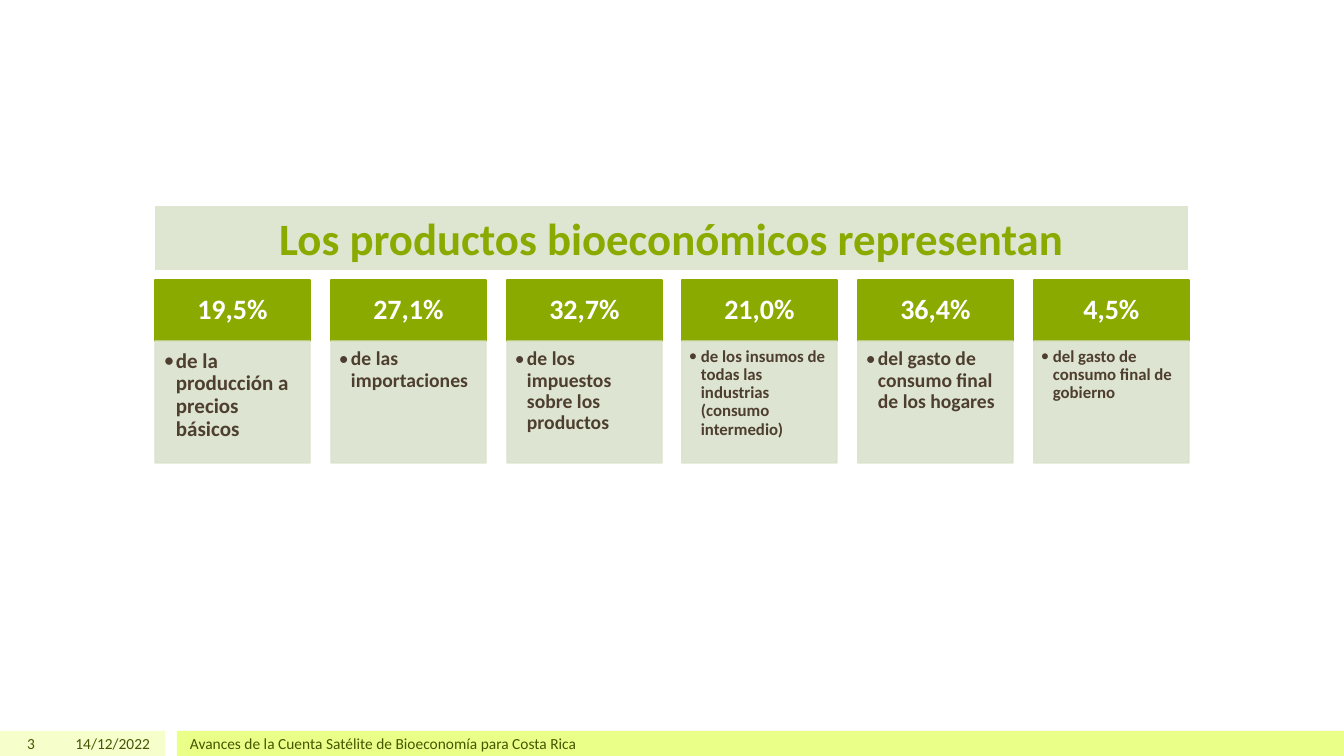
from pptx import Presentation
from pptx.dml.color import RGBColor
from pptx.enum.shapes import MSO_SHAPE as Kind
from pptx.enum.text import MSO_ANCHOR as Anchor, MSO_AUTO_SIZE as Auto, PP_ALIGN as Align
from pptx.oxml.ns import qn
from pptx.util import Emu, Pt
from lxml.etree import SubElement as Sub

GREEN = RGBColor(0x8B, 0xAA, 0x00)
SAGE = RGBColor(0xDA, 0xE2, 0xCC)
BAND = RGBColor(0xDE, 0xE5, 0xD0)
PALE = RGBColor(0xF6, 0xFF, 0xCC)
LIME = RGBColor(0xE9, 0xFF, 0x88)
OLIVE = RGBColor(0x45, 0x55, 0x00)
BROWN = RGBColor(0x4D, 0x3E, 0x2F)
WHITE = RGBColor(0xFF, 0xFF, 0xFF)

CARDS = [
    ("19,5%", "de la producción a precios básicos", 15),
    ("27,1%", "de las importaciones", 14),
    ("32,7%", "de los impuestos sobre los productos", 14),
    ("21,0%", "de los insumos de todas las industrias (consumo intermedio)", 12),
    ("36,4%", "del gasto de consumo final de los hogares", 14),
    ("4,5%", "del gasto de consumo final de gobierno", 12),
]


def px(count):
    return Emu(round(count * 914400 / 100.8))


class Deck:
    font = "Calibri"

    def __init__(self):
        self.file = Presentation()
        self.file.slide_width, self.file.slide_height = px(1344), px(756)
        self.slide = self.file.slides.add_slide(self.file.slide_layouts[5])

    def words(self, shape, text, size, color, align, bold=True, anchor=Anchor.MIDDLE):
        frame = shape.text_frame
        frame.word_wrap = True
        frame.auto_size = Auto.NONE
        frame.vertical_anchor = anchor
        para = frame.paragraphs[0]
        para.alignment = align
        run = para.add_run()
        run.text = text
        run.font.name, run.font.size, run.font.bold = self.font, Pt(size), bold
        run.font.color.rgb = color
        return para

    def inset(self, shape, left, top, right, bottom):
        frame = shape.text_frame
        frame.margin_left, frame.margin_top = px(left), px(top)
        frame.margin_right, frame.margin_bottom = px(right), px(bottom)

    def title(self, text, x, y, w, h):
        shape = self.slide.shapes.title
        shape.left, shape.top, shape.width, shape.height = px(x), px(y), px(w), px(h)
        shape.fill.solid()
        shape.fill.fore_color.rgb = BAND
        self.words(shape, text, 32, GREEN, Align.CENTER)

    def rect(self, x, y, w, h, color, edge=False, alpha=None):
        shape = self.slide.shapes.add_shape(Kind.RECTANGLE, px(x), px(y), px(w), px(h))
        shape.shadow.inherit = False
        shape.fill.solid()
        shape.fill.fore_color.rgb = color
        if edge:
            shape.line.color.rgb = color
            shape.line.width = Pt(1)
        else:
            shape.line.fill.background()
        if alpha:
            for tint in shape.element.spPr.iter(qn("a:srgbClr")):
                Sub(tint, qn("a:alpha"), val=str(alpha * 1000))
        return shape

    def label(self, text, x, y, w, h, align):
        box = self.slide.shapes.add_textbox(px(x), px(y), px(w), px(h))
        self.words(box, text, 11, OLIVE, align, bold=False)

    def head(self, text, x, y, w, h):
        shape = self.rect(x, y, w, h, GREEN, edge=True)
        self.inset(shape, 16, 9, 16, 9)
        self.words(shape, text, 20, WHITE, Align.CENTER).line_spacing = 0.9

    def item(self, text, size, x, y, w, h):
        shape = self.rect(x, y, w, h, SAGE, edge=True, alpha=90)
        near = round(size * 0.6)
        self.inset(shape, near, near, round(size * 0.8), round(size * 0.85))
        para = self.words(shape, text, size, BROWN, Align.LEFT, anchor=Anchor.TOP)
        para.line_spacing = 0.9
        props = para._p.get_or_add_pPr()
        props.set("marL", str(px(12)))
        props.set("indent", str(-px(12)))
        Sub(props, qn("a:buFont"), typeface=self.font)
        Sub(props, qn("a:buChar"), char="•")


def main():
    deck = Deck()
    deck.rect(0, 731, 165, 25, PALE)
    deck.rect(177, 731, 1167, 25, LIME)
    deck.label("3", 0, 731, 45, 25, Align.RIGHT)
    deck.label("14/12/2022", 50, 731, 110, 25, Align.RIGHT)
    deck.label("Avances de la Cuenta Satélite de Bioeconomía para Costa Rica",
               180, 731, 1008, 25, Align.LEFT)
    deck.title("Los productos bioeconómicos representan", 155, 206, 1033, 64)
    for i, (share, text, size) in enumerate(CARDS):
        x = 155 + round(i * 175.8)
        deck.head(share, x, 280, 155, 61)
        deck.item(text, size, x, 341, 155, 122)
    deck.file.save("out.pptx")


if __name__ == "__main__":
    main()
